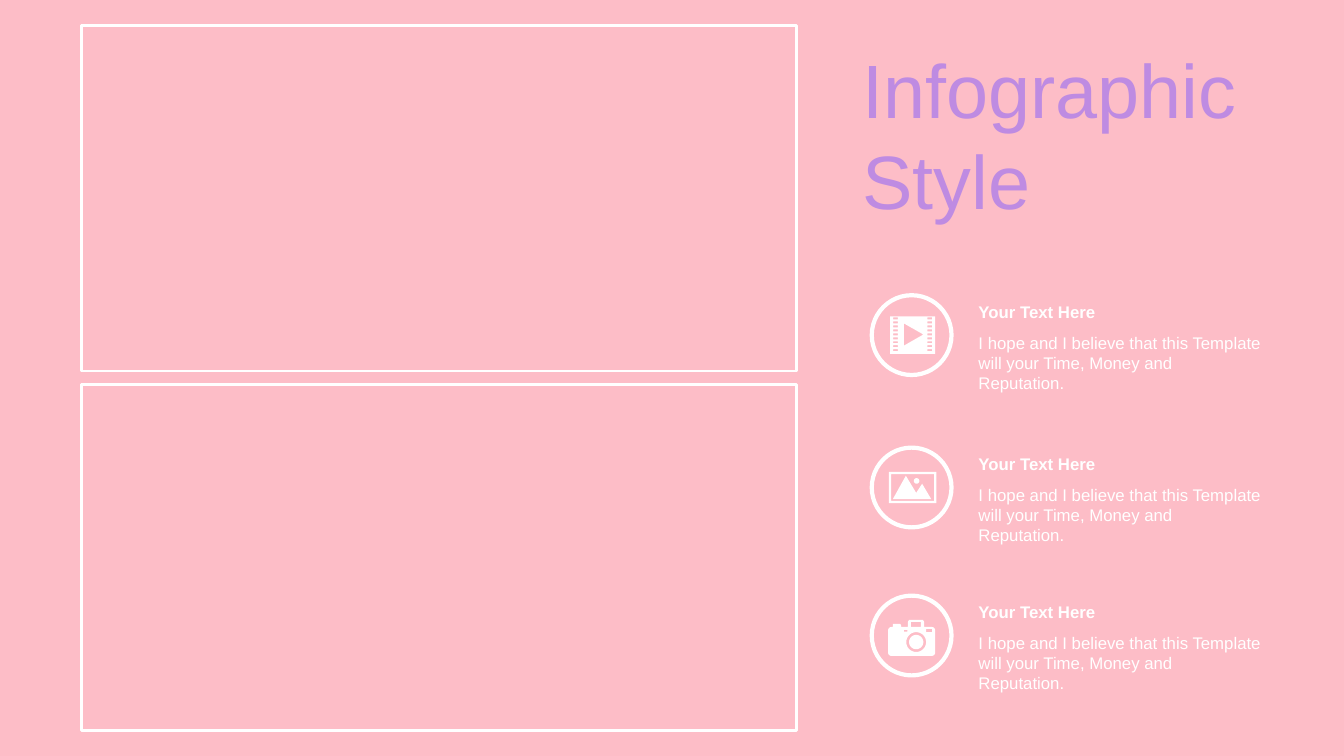
from dataclasses import dataclass
from math import cos, radians, sin

from pptx import Presentation
from pptx.dml.color import RGBColor
from pptx.enum.shapes import MSO_SHAPE
from pptx.enum.text import MSO_ANCHOR, MSO_AUTO_SIZE
from pptx.util import Cm, Pt

RECT = MSO_SHAPE.RECTANGLE
OVAL = MSO_SHAPE.OVAL
TOP = MSO_ANCHOR.TOP
MIDDLE = MSO_ANCHOR.MIDDLE
GROW = MSO_AUTO_SIZE.SHAPE_TO_FIT_TEXT


@dataclass(frozen=True)
class Theme:
    back: RGBColor = RGBColor(0xFD, 0xBD, 0xC7)
    white: RGBColor = RGBColor(0xFF, 0xFF, 0xFF)
    violet: RGBColor = RGBColor(0xBE, 0x8B, 0xE2)
    font: str = "Arial"
    title: int = 54
    body: int = 12
    frame: int = 2
    ring: int = 3


THEME = Theme()
HEAD = "Your Text Here"
BODY = "I hope and I believe that this Template will your Time, Money and Reputation."
LEFT = 21.97  # left edge of the circles, in cm
SIZE = 2.01   # circle diameter, in cm


# Contours, in cm from the top left of a circle
def box(x, y, w, h):
    return [(x, y), (x + w, y), (x + w, y + h), (x, y + h)]


def arc(x, y, r, start=0, end=360, step=10):
    return [(x + r * cos(radians(a)), y + r * sin(radians(a)))
            for a in range(start, end + 1, step)]


def film():
    holes = [box(x, 0.56 + 0.1 * i, 0.12, 0.05)
             for i in range(9) for x in (0.54, 1.4)]
    play = [(0.81, 0.71), (0.81, 1.27), (1.3, 0.99)]
    return [box(0.46, 0.53, 1.14, 0.95), play, *holes]


def photo():
    hills = [(0.86, 0.71), (1.12, 1.14), (1.27, 0.91), (1.5, 1.3), (0.53, 1.3)]
    return [box(0.43, 0.61, 1.2, 0.79), box(0.49, 0.67, 1.08, 0.67),
            hills, arc(1.13, 0.84, 0.07)]


def camera():
    body = [(0.94, 0.61), (1.29, 0.61), (1.32, 0.66), (1.32, 0.79),
            *arc(1.51, 0.88, 0.09, -90, 0), *arc(1.51, 1.43, 0.09, 0, 90),
            *arc(0.5, 1.43, 0.09, 90, 180), *arc(0.5, 0.88, 0.09, 180, 270),
            (0.53, 0.79), (0.53, 0.71), (0.71, 0.71), (0.74, 0.74),
            (0.74, 0.79), (0.91, 0.79), (0.91, 0.66)]
    return [body, arc(1.12, 1.17, 0.25), arc(1.12, 1.17, 0.18),
            box(0.81, 0.86, 0.09, 0.05), box(1.37, 0.84, 0.15, 0.08),
            box(0.99, 0.66, 0.25, 0.13)]


# Elements
def add_frame(slide, kind, x, y, w, h, width):
    shape = slide.shapes.add_shape(kind, Cm(x), Cm(y), Cm(w), Cm(h))
    shape.shadow.inherit = False
    shape.fill.background()
    shape.line.color.rgb = THEME.white
    shape.line.width = Pt(width)


def add_icon(slide, loops, x, y):
    paths = [[(Cm(x + dx), Cm(y + dy)) for dx, dy in loop] for loop in loops]
    first, *rest = paths
    pen = slide.shapes.build_freeform(*first[0])
    pen.add_line_segments(first[1:])
    for path in rest:
        pen.move_to(*path[0])
        pen.add_line_segments(path[1:])
    icon = pen.convert_to_shape()
    icon.shadow.inherit = False
    icon.fill.solid()
    icon.fill.fore_color.rgb = THEME.white
    icon.line.fill.background()


def add_text(slide, text, x, y, w, h, size, color, bold=False, anchor=TOP):
    frame = slide.shapes.add_textbox(Cm(x), Cm(y), Cm(w), Cm(h)).text_frame
    frame.word_wrap = True
    frame.auto_size = GROW
    frame.vertical_anchor = anchor
    run = frame.paragraphs[0].add_run()
    run.text = text
    run.font.name = THEME.font
    run.font.size = Pt(size)
    run.font.bold = bold
    run.font.color.rgb = color


def add_item(slide, loops, y):
    add_frame(slide, OVAL, LEFT, y, SIZE, SIZE, THEME.ring)
    add_icon(slide, loops, LEFT, y)
    add_text(slide, BODY, 24.41, y + 0.81, 7.65, 1.27, THEME.body, THEME.white)
    add_text(slide, HEAD, 24.41, y + 0.03, 7.6, 0.76, THEME.body, THEME.white, bold=True)


def main():
    deck = Presentation()
    deck.slide_width, deck.slide_height = Cm(33.87), Cm(19.05)
    slide = deck.slides.add_slide(deck.slide_layouts[6])
    fill = slide.background.fill
    fill.solid()
    fill.fore_color.rgb = THEME.back

    # Two large frames
    for y in (0.64, 9.7):
        add_frame(slide, RECT, 2.06, y, 18.01, 8.71, THEME.frame)

    # Title
    add_text(slide, "Infographic Style", 21.49, 0.94, 11.35, 4.88,
             THEME.title, THEME.violet, anchor=MIDDLE)

    # Items with icons
    for loops, y in ((film(), 7.44), (photo(), 11.28), (camera(), 15.01)):
        add_item(slide, loops, y)

    deck.save("out.pptx")


if __name__ == "__main__":
    main()
